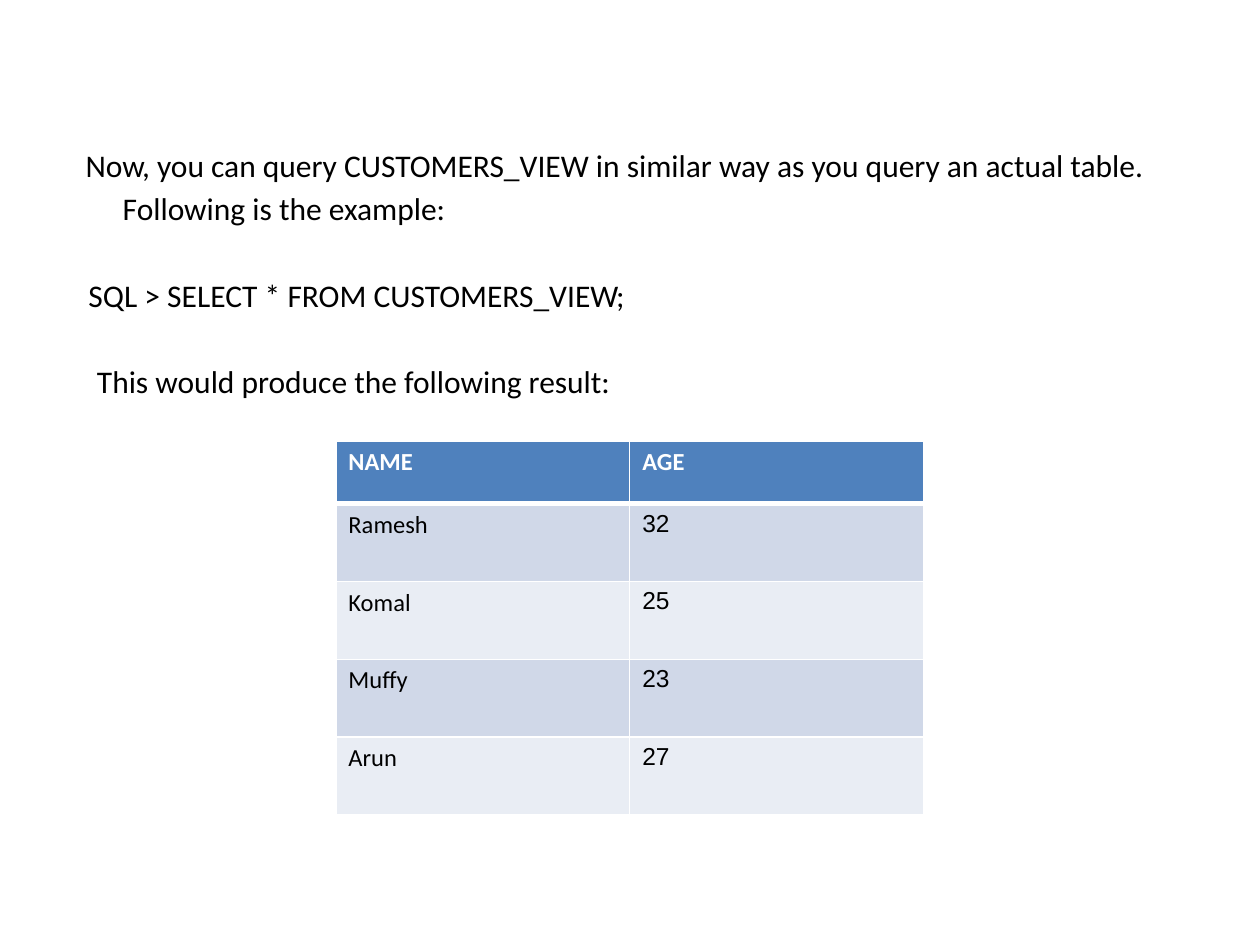
from dataclasses import dataclass

from lxml.etree import SubElement as Sub
from pptx import Presentation
from pptx.dml.color import RGBColor as Rgb
from pptx.enum.text import MSO_AUTO_SIZE as Auto
from pptx.oxml.ns import qn
from pptx.util import Cm, Pt


@dataclass(frozen=True)
class Theme:
    """Hold the colours, fonts and type sizes."""
    ink: str = "000000"
    white: str = "FFFFFF"
    head: str = "4F81BD"
    bands: tuple = ("D0D8E8", "E9EDF4")
    font: str = "Calibri"
    digits: str = "Arial"
    body: int = 18
    cell: int = 14


THEME = Theme()
LINES = (
    ("Now, you can query CUSTOMERS_VIEW in similar way as you query "
     "an actual table. Following is the example:", 0.2),
    ("SQL > SELECT * FROM CUSTOMERS_VIEW;", 0.26),
    ("This would produce the following result:", 0.43),
)
ROWS = (("NAME", "AGE"), ("Ramesh", "32"), ("Komal", "25"),
        ("Muffy", "23"), ("Arun", "27"))


def style(font, name, size, color, bold=False):
    """Set the look of a font."""
    font.name, font.size, font.bold = name, Pt(size), bold
    font.color.rgb = Rgb.from_string(color)


def indent(para, left, first):
    """Hang a paragraph without a bullet."""
    props = para._p.get_or_add_pPr()
    props.set("marL", str(Cm(left)))
    props.set("indent", str(Cm(first - left)))
    Sub(props, qn("a:buNone"))


def edge(cell, side, width):
    """Draw one white border of a cell."""
    line = Sub(cell._tc.get_or_add_tcPr(), qn(f"a:{side}"), w=str(Pt(width)))
    fill = Sub(line, qn("a:solidFill"))
    Sub(fill, qn("a:srgbClr"), val=THEME.white)


def add_body(shape, box):
    """Fill the body placeholder with the query text."""
    shape.left, shape.top, shape.width, shape.height = map(Cm, box)
    frame = shape.text_frame
    frame.word_wrap, frame.auto_size = True, Auto.NONE
    frame.margin_top = Cm(0.5)
    for i, (text, first) in enumerate(LINES):
        para = frame.add_paragraph() if i else frame.paragraphs[0]
        para.text = text
        indent(para, 0.95, first)
        para.space_before = Pt(28 if i else 0)
        style(para.font, THEME.font, THEME.body, THEME.ink)
    frame.paragraphs[0].line_spacing = Pt(24.6)


def add_grid(slide, box, top):
    """Add the result table, with a header row of the given height."""
    left, y, width, height = box
    count = len(ROWS)
    grid = slide.shapes.add_table(count, 2, *map(Cm, box)).table
    for col in grid.columns:
        col.width = Cm(width / 2)
    for r, row in enumerate(ROWS):
        grid.rows[r].height = Cm((height - top) / (count - 1) if r else top)
        for c, text in enumerate(row):
            cell = grid.cell(r, c)
            cell.text = text
            for side in ("lnL", "lnR", "lnT", "lnB"):
                thick = (r, side) in ((0, "lnB"), (1, "lnT"))
                edge(cell, side, 3 if thick else 1)
            cell.fill.solid()
            cell.fill.fore_color.rgb = Rgb.from_string(
                THEME.bands[(r - 1) % 2] if r else THEME.head)
            style(cell.text_frame.paragraphs[0].font,
                  THEME.digits if r and c else THEME.font, THEME.cell,
                  THEME.ink if r else THEME.white, not r)


def main():
    """Build and save the slide."""
    deck = Presentation()
    deck.slide_width, deck.slide_height = Cm(25.4), Cm(19.05)
    slide = deck.slides.add_slide(deck.slide_layouts[1])
    title = slide.shapes.title._element
    title.getparent().remove(title)
    add_body(slide.placeholders[1], (1.27, 2.33, 22.86, 15.93))
    add_grid(slide, (6.77, 8.89, 11.85, 7.54), 1.26)
    deck.save("out.pptx")


if __name__ == "__main__":
    main()
